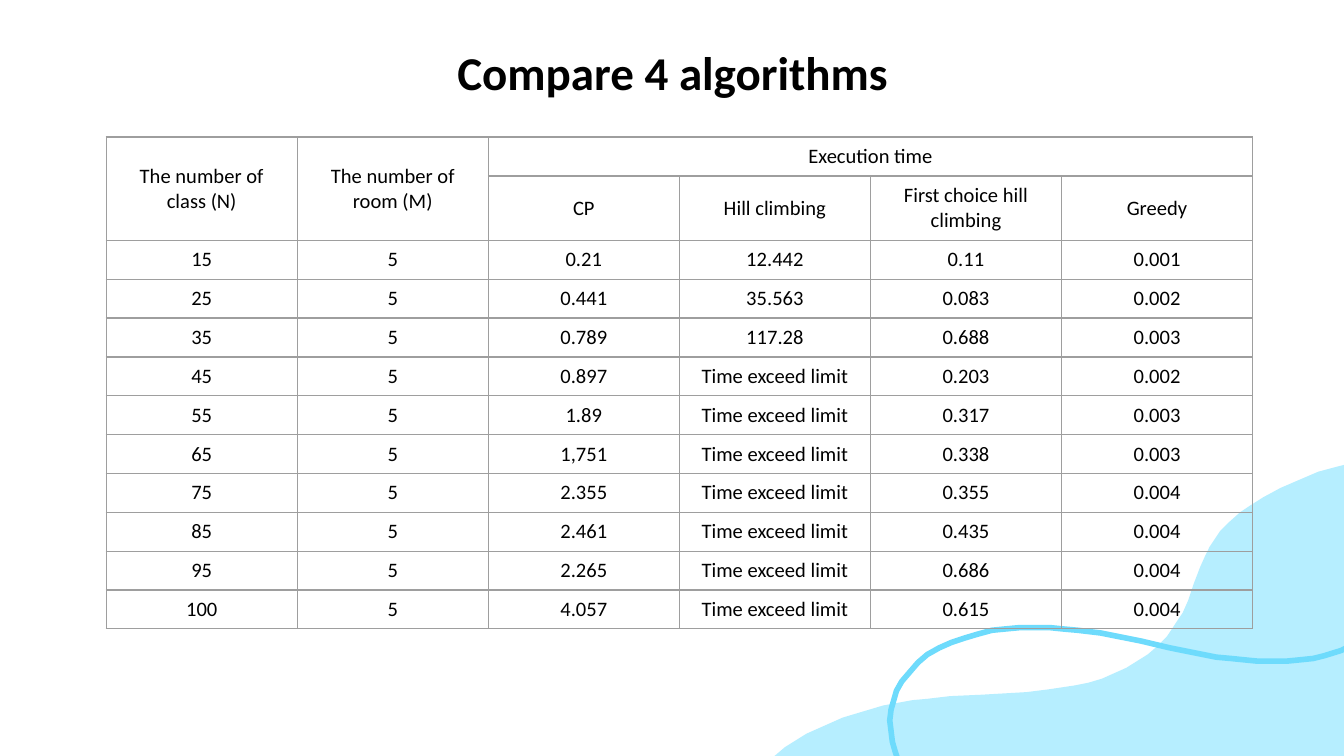
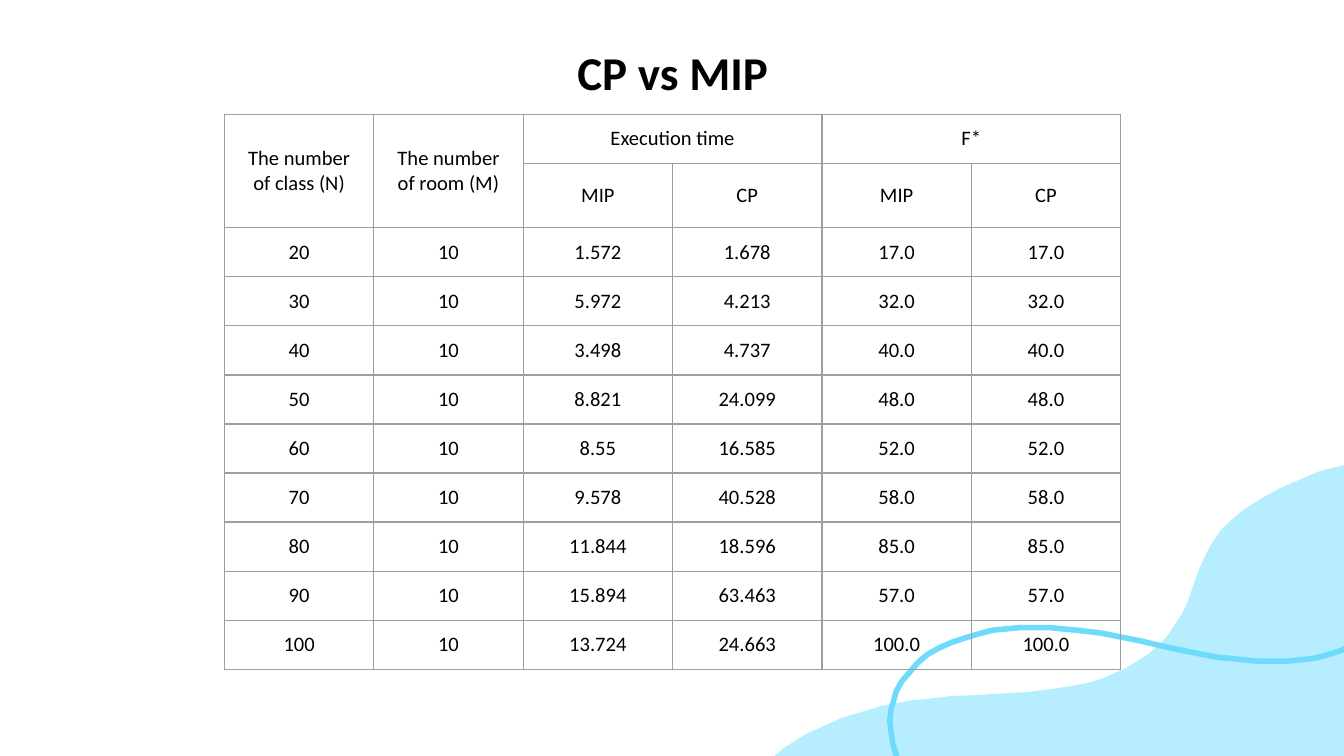
from dataclasses import dataclass

import pptx
import pptx.dml.color
import pptx.enum.text
import pptx.oxml
import pptx.oxml.ns
import pptx.presentation
import pptx.shapes.autoshape
import pptx.slide
import pptx.table
import pptx.text.text
import pptx.util

RGBColor = pptx.dml.color.RGBColor
Inches = pptx.util.Inches

# Shared style
SLIDE_WIDTH = Inches(10)
SLIDE_HEIGHT = SLIDE_WIDTH * 9 // 16
BLACK = RGBColor(0x00, 0x00, 0x00)
WHITE = RGBColor(0xFF, 0xFF, 0xFF)
PALE_BLUE = RGBColor(0xB6, 0xEE, 0xFF)
BRIGHT_BLUE = RGBColor(0x6E, 0xDB, 0xFC)
GRID_GREY = RGBColor(0x9E, 0x9E, 0x9E)
FONT = "Calibri"
TITLE_SIZE = 25.2
CELL_SIZE = 11
GRID_WIDTH = pptx.util.Pt(0.75)
SUBHEADER_HEIGHT = Inches(0.48)

# Corner decoration, as points in inches
WAVE = (
    (10.79, 3.35), (11.13, 3.37), (11.45, 3.42), (11.71, 3.5), (11.84, 3.59), (11.89, 3.75),
    (11.86, 4.19), (11.8, 4.64), (11.8, 6.71), (5.51, 6.72), (5.42, 6.51), (5.39, 6.33),
    (5.43, 6.08), (5.51, 5.9), (5.61, 5.76), (5.7, 5.67), (5.77, 5.62), (5.84, 5.56),
    (5.92, 5.51), (6, 5.46), (6.09, 5.42), (6.18, 5.38), (6.27, 5.34), (6.37, 5.31),
    (6.47, 5.28), (6.57, 5.25), (6.68, 5.23), (6.79, 5.21), (6.9, 5.2), (7.07, 5.18),
    (7.3, 5.17), (7.64, 5.15), (7.8, 5.13), (8, 5.1), (8.1, 5.08), (8.2, 5.05),
    (8.29, 5.01), (8.38, 4.97), (8.46, 4.92), (8.54, 4.87), (8.61, 4.81), (8.68, 4.74),
    (8.72, 4.68), (8.76, 4.62), (8.8, 4.56), (8.84, 4.47), (8.88, 4.35), (8.93, 4.22),
    (8.97, 4.13), (9, 4.07), (9.04, 4.01), (9.08, 3.95), (9.14, 3.89), (9.23, 3.81),
    (9.29, 3.77), (9.4, 3.7), (9.53, 3.63), (9.67, 3.57), (9.81, 3.51), (9.96, 3.47),
    (10.12, 3.43), (10.29, 3.4), (10.45, 3.38), (10.62, 3.36),
)
RIBBON = (
    (7.08, 6.57), (7.09, 6.48), (7.07, 6.4), (7.01, 6.3), (6.93, 6.15), (6.8, 5.93),
    (6.75, 5.82), (6.7, 5.71), (6.66, 5.59), (6.64, 5.52), (6.63, 5.44), (6.62, 5.36),
    (6.63, 5.28), (6.65, 5.21), (6.67, 5.14), (6.71, 5.07), (6.77, 5), (6.83, 4.93),
    (6.9, 4.87), (6.99, 4.82), (7.08, 4.78), (7.17, 4.75), (7.27, 4.72), (7.38, 4.69),
    (7.48, 4.68), (7.59, 4.67), (7.81, 4.67), (7.91, 4.68), (8.02, 4.69), (8.19, 4.71),
    (8.29, 4.73), (8.49, 4.77), (8.7, 4.82), (8.9, 4.86), (9.05, 4.89), (9.16, 4.9),
    (9.26, 4.91), (9.36, 4.92), (9.57, 4.92), (9.67, 4.91), (9.77, 4.9), (9.85, 4.88),
    (9.98, 4.84), (10.1, 4.78), (10.2, 4.71), (10.3, 4.64), (10.38, 4.55), (10.44, 4.46),
    (10.49, 4.35), (10.51, 4.28),
)


@dataclass(frozen=True)
class Span:
    """A merged block of cells, from its first to its last row and column."""
    top: int
    left: int
    bottom: int
    right: int


@dataclass(frozen=True)
class ComparisonSlide:
    title: str
    left: float
    top: float
    width: float
    height: float
    spans: tuple[Span, ...]
    rows: tuple[tuple[str, ...], ...]


CLASS_HEADER = "The number of class (N)"
ROOM_HEADER = "The number of room (M)"
SIDE_SPANS = (Span(0, 0, 1, 0), Span(0, 1, 1, 1))
EXCEEDED = "Time exceed limit"

COMPARISONS = (
    ComparisonSlide(
        "Compare 4 algorithms", 0.79, 1.02, 8.53, 3.66,
        SIDE_SPANS + (Span(0, 2, 0, 5),),
        (
            (CLASS_HEADER, ROOM_HEADER, "Execution time", "", "", ""),
            ("", "", "CP", "Hill climbing", "First choice hill climbing", "Greedy"),
            ("15", "5", "0.21", "12.442", "0.11", "0.001"),
            ("25", "5", "0.441", "35.563", "0.083", "0.002"),
            ("35", "5", "0.789", "117.28", "0.688", "0.003"),
            ("45", "5", "0.897", EXCEEDED, "0.203", "0.002"),
            ("55", "5", "1.89", EXCEEDED, "0.317", "0.003"),
            ("65", "5", "1,751", EXCEEDED, "0.338", "0.003"),
            ("75", "5", "2.355", EXCEEDED, "0.355", "0.004"),
            ("85", "5", "2.461", EXCEEDED, "0.435", "0.004"),
            ("95", "5", "2.265", EXCEEDED, "0.686", "0.004"),
            ("100", "5", "4.057", EXCEEDED, "0.615", "0.004"),
        ),
    ),
    ComparisonSlide(
        "CP vs MIP", 1.67, 0.85, 6.67, 4.13,
        SIDE_SPANS + (Span(0, 2, 0, 3), Span(0, 4, 0, 5)),
        (
            (CLASS_HEADER, ROOM_HEADER, "Execution time", "", "F*", ""),
            ("", "", "MIP", "CP", "MIP", "CP"),
            ("20", "10", "1.572", "1.678", "17.0", "17.0"),
            ("30", "10", "5.972", "4.213", "32.0", "32.0"),
            ("40", "10", "3.498", "4.737", "40.0", "40.0"),
            ("50", "10", "8.821", "24.099", "48.0", "48.0"),
            ("60", "10", "8.55", "16.585", "52.0", "52.0"),
            ("70", "10", "9.578", "40.528", "58.0", "58.0"),
            ("80", "10", "11.844", "18.596", "85.0", "85.0"),
            ("90", "10", "15.894", "63.463", "57.0", "57.0"),
            ("100", "10", "13.724", "24.663", "100.0", "100.0"),
        ),
    ),
)


def add_centred_run(paragraph: pptx.text.text._Paragraph, text: str, size: float,
                    bold: bool = False) -> None:
    paragraph.alignment = pptx.enum.text.PP_ALIGN.CENTER
    run = paragraph.add_run()
    run.text = text
    run.font.name = FONT
    run.font.size = pptx.util.Pt(size)
    run.font.bold = bold
    run.font.color.rgb = BLACK


def add_outline(slide: pptx.slide.Slide, points: tuple[tuple[float, float], ...],
                closed: bool) -> pptx.shapes.autoshape.Shape:
    start, *rest = [(Inches(x), Inches(y)) for x, y in points]
    builder = slide.shapes.build_freeform(*start)
    builder.add_line_segments(rest, close=closed)
    shape = builder.convert_to_shape()
    shape.shadow.inherit = False
    return shape


def add_decoration(slide: pptx.slide.Slide) -> None:
    wave = add_outline(slide, WAVE, closed=True)
    wave.fill.solid()
    wave.fill.fore_color.rgb = PALE_BLUE
    wave.line.fill.background()
    ribbon = add_outline(slide, RIBBON, closed=False)
    ribbon.fill.background()
    ribbon.line.color.rgb = BRIGHT_BLUE
    ribbon.line.width = pptx.util.Pt(3)


def add_title(slide: pptx.slide.Slide, title: str) -> None:
    box = slide.shapes.add_textbox(Inches(0.79), Inches(0.22), Inches(8.43), Inches(0.63))
    frame = box.text_frame
    frame.word_wrap = True
    frame.margin_left = frame.margin_right = Inches(0.1)
    frame.margin_top = frame.margin_bottom = Inches(0.1)
    add_centred_run(frame.paragraphs[0], title, TITLE_SIZE, bold=True)


def add_borders(cell: pptx.table._Cell) -> None:
    properties = cell._tc.get_or_add_tcPr()
    namespace = pptx.oxml.ns.nsdecls("a")
    for index, side in enumerate(("lnL", "lnR", "lnT", "lnB")):
        border = pptx.oxml.parse_xml(
            f'<a:{side} {namespace} w="{GRID_WIDTH}"><a:solidFill>'
            f'<a:srgbClr val="{GRID_GREY}"/></a:solidFill></a:{side}>')
        properties.insert(index, border)


def add_comparison_table(slide: pptx.slide.Slide, comparison: ComparisonSlide) -> None:
    row_count, column_count = len(comparison.rows), len(comparison.rows[0])
    width, height = Inches(comparison.width), Inches(comparison.height)
    table = slide.shapes.add_table(row_count, column_count, Inches(comparison.left),
                                   Inches(comparison.top), width, height).table
    table.first_row = table.horz_banding = False

    # Equal columns; every row but the second header row is equally high
    for column in table.columns:
        column.width = width // column_count
    for row in table.rows:
        row.height = (height - SUBHEADER_HEIGHT) // (row_count - 1)
    table.rows[1].height = SUBHEADER_HEIGHT

    for row_index, texts in enumerate(comparison.rows):
        for column_index, text in enumerate(texts):
            cell = table.cell(row_index, column_index)
            cell.fill.background()
            cell.vertical_anchor = pptx.enum.text.MSO_ANCHOR.MIDDLE
            add_borders(cell)
            if text:
                add_centred_run(cell.text_frame.paragraphs[0], text, CELL_SIZE)
    for span in comparison.spans:
        table.cell(span.top, span.left).merge(table.cell(span.bottom, span.right))


def add_comparison_slide(presentation: pptx.presentation.Presentation,
                         comparison: ComparisonSlide) -> None:
    slide = presentation.slides.add_slide(presentation.slide_layouts[6])
    slide.background.fill.solid()
    slide.background.fill.fore_color.rgb = WHITE
    add_decoration(slide)
    add_title(slide, comparison.title)
    add_comparison_table(slide, comparison)


def main() -> None:
    presentation = pptx.Presentation()
    presentation.slide_width = SLIDE_WIDTH
    presentation.slide_height = SLIDE_HEIGHT
    for comparison in COMPARISONS:
        add_comparison_slide(presentation, comparison)
    presentation.save("out.pptx")


if __name__ == "__main__":
    main()
